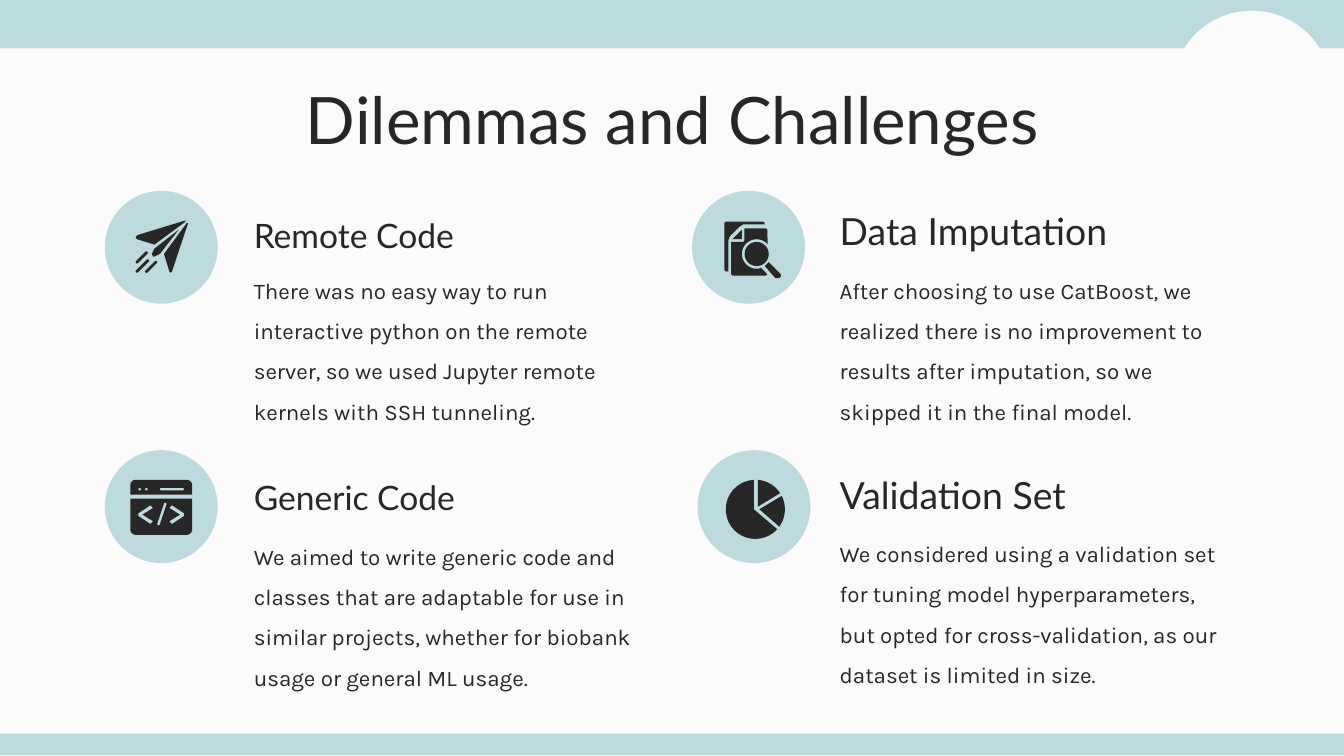
from math import atan2, cos, degrees, radians, sin

from pptx import Presentation
from pptx.dml.color import RGBColor
from pptx.enum.shapes import MSO_SHAPE
from pptx.enum.text import MSO_ANCHOR, PP_ALIGN
from pptx.util import Inches, Pt

PALE_BLUE = RGBColor(0xBD, 0xDA, 0xDE)
OFF_WHITE = RGBColor(0xFB, 0xFB, 0xFB)
INK = RGBColor(0x27, 0x27, 0x27)
HEADING_FONT, BODY_FONT = "Lato", "Karla"
BADGE = 0.84

# heading, heading top, heading size, body, body box, badge left, badge top
CHALLENGES = [
    ("Remote Code", 1.56, 18,
     "There was no easy way to run interactive python on the remote server, "
     "so we used Jupyter remote kernels with SSH tunneling.",
     (1.79, 1.86, 2.9, 1.35), 0.78, 1.42),
    ("Data Imputation", 1.54, 20,
     "After choosing to use CatBoost, we realized there is no improvement to "
     "results after imputation, so we skipped it in the final model.",
     (6.15, 1.86, 3.06, 1.12), 5.15, 1.42),
    ("Generic Code", 3.51, 18,
     "We aimed to write generic code and classes that are adaptable for use in "
     "similar projects, whether for biobank usage or general ML usage.",
     (1.79, 3.84, 3.07, 1.36), 0.78, 3.35),
    ("Validation Set", 3.51, 20,
     "We considered using a validation set for tuning model hyperparameters, "
     "but opted for cross-validation, as our dataset is limited in size.",
     (6.15, 3.82, 3.06, 1.12), 5.19, 3.35),
]


def paint(shape, color):
    shape.shadow.inherit = False
    shape.fill.solid()
    shape.fill.fore_color.rgb = color
    shape.line.fill.background()


def add_shape(slide, preset, left, top, width, height, color):
    paint(slide.shapes.add_shape(preset, Inches(left), Inches(top),
                                 Inches(width), Inches(height)), color)


def add_text(slide, text, left, top, width, height, font, size,
             anchor=MSO_ANCHOR.TOP, align=PP_ALIGN.LEFT, line_spacing=1.0):
    frame = slide.shapes.add_textbox(Inches(left), Inches(top),
                                     Inches(width), Inches(height)).text_frame
    frame.word_wrap = True
    frame.vertical_anchor = anchor
    frame.margin_left = frame.margin_right = Inches(0.1)
    frame.margin_top = frame.margin_bottom = Inches(0.1)
    paragraph = frame.paragraphs[0]
    paragraph.alignment = align
    paragraph.line_spacing = line_spacing
    run = paragraph.add_run()
    run.text = text
    run.font.name = font
    run.font.size = Pt(size)
    run.font.color.rgb = INK


def add_outline(slide, *contours):
    """Fill closed contours as one shape; inner contours become holes."""
    builder = None
    for contour in contours:
        start, *rest = [(Inches(x), Inches(y)) for x, y in contour]
        if builder is None:
            builder = slide.shapes.build_freeform(*start)
        else:
            builder.move_to(*start)
        builder.add_line_segments(rest, close=True)
    paint(builder.convert_to_shape(), INK)


def arc(x, y, radius, start, end, steps=24):
    """Points along an arc, in degrees clockwise from the right."""
    angles = [radians(start + (end - start) * i / steps) for i in range(steps + 1)]
    return [(x + radius * cos(a), y + radius * sin(a)) for a in angles]


def capsule(x1, y1, x2, y2, radius):
    """Contour of a straight stroke with round ends."""
    angle = degrees(atan2(y2 - y1, x2 - x1))
    return (arc(x2, y2, radius, angle - 90, angle + 90, 8)
            + arc(x1, y1, radius, angle + 90, angle + 270, 8))


def draw_paper_plane(slide):
    add_outline(slide, [(1.38, 1.64), (1.02, 1.75), (1.01, 1.77), (1.02, 1.78),
                        (1.15, 1.82), (1.38, 1.65)])
    add_outline(slide, [(1.33, 1.71), (1.15, 1.85), (1.13, 1.89), (1.14, 1.91),
                        (1.15, 1.91), (1.19, 1.89)])
    add_outline(slide, [(1.4, 1.66), (1.39, 1.66), (1.22, 1.89), (1.26, 2.02),
                        (1.27, 2.03), (1.28, 2.02)])
    for streak in [(1.02, 1.95, 1.09, 1.88), (1.09, 2.02, 1.16, 1.95),
                   (1.02, 2.02, 1.1, 1.94)]:
        add_outline(slide, capsule(*streak, 0.01))


def draw_document_search(slide):
    lens_x, lens_y = 5.63, 1.89
    add_outline(slide, [(5.4, 1.65), (5.39, 1.66), (5.39, 2.01), (5.4, 2.02),
                        (5.42, 2.02), (5.42, 1.79), (5.43, 1.76), (5.5, 1.69),
                        (5.53, 1.67), (5.69, 1.67), (5.69, 1.66), (5.68, 1.65)])
    add_outline(slide, [(5.52, 1.71), (5.45, 1.78), (5.52, 1.78)])
    add_outline(slide, arc(lens_x, lens_y, 0.09, 0, 360))
    add_outline(slide, [(5.54, 1.7), (5.54, 1.79), (5.53, 1.8), (5.44, 1.8),
                        (5.44, 2.04), (5.45, 2.05), (5.7, 2.05), (5.71, 2.04),
                        (5.66, 1.99), *arc(lens_x, lens_y, 0.11, 75, 318),
                        (5.71, 1.71), (5.7, 1.7)])
    add_outline(slide, [(5.72, 1.95), (5.69, 1.98), (5.77, 2.07),
                        *arc(5.79, 2.05, 0.02, 90, -45, 8)])


def draw_code_window(slide):
    left, right, corner = 0.97, 1.43, 0.04
    add_outline(slide,
                [*arc(left + corner, 3.61, corner, 180, 270, 8),
                 *arc(right - corner, 3.61, corner, 270, 360, 8),
                 (right, 3.68), (left, 3.68)],
                arc(1.04, 3.64, 0.01, 0, 360),
                arc(1.09, 3.64, 0.01, 0, 360),
                capsule(1.2, 3.64, 1.36, 3.64, 0.01))
    chevron = [(1.12, 3.76), (1.03, 3.82), (1.03, 3.84), (1.12, 3.9),
               (1.14, 3.88), (1.06, 3.83), (1.14, 3.78)]
    mirrored = [(left + right - x, y) for x, y in chevron]
    add_outline(slide,
                [(left, 3.71), (right, 3.71),
                 *arc(right - corner, 3.94, corner, 0, 90, 8),
                 *arc(left + corner, 3.94, corner, 90, 180, 8)],
                chevron, mirrored, capsule(1.18, 3.9, 1.23, 3.75, 0.01))


def draw_pie(slide):
    for apex, start, end in [((5.65, 3.79), -27, 36), ((5.64, 3.77), -85, -33),
                             ((5.61, 3.79), 42, 267)]:
        add_outline(slide, [apex, *arc(5.62, 3.79, 0.22, start, end)])


def add_challenge(slide, heading, heading_top, heading_size, body, body_box,
                  badge_left, badge_top):
    add_text(slide, body, *body_box, BODY_FONT, 12, line_spacing=1.5)
    add_text(slide, heading, body_box[0], heading_top, 3.06, 0.44, HEADING_FONT,
             heading_size, anchor=MSO_ANCHOR.BOTTOM)
    add_shape(slide, MSO_SHAPE.OVAL, badge_left, badge_top, BADGE, BADGE, PALE_BLUE)


def main():
    deck = Presentation()
    deck.slide_width = Inches(10)
    deck.slide_height = Inches(10 * 9 / 16)
    slide = deck.slides.add_slide(deck.slide_layouts[6])
    slide.background.fill.solid()
    slide.background.fill.fore_color.rgb = OFF_WHITE

    add_shape(slide, MSO_SHAPE.RECTANGLE, 0, 5.46, 10, 0.16, PALE_BLUE)
    add_shape(slide, MSO_SHAPE.RECTANGLE, 0, 0, 10, 0.36, PALE_BLUE)
    add_shape(slide, MSO_SHAPE.OVAL, 8.72, 0.08, 1.19, 1.19, OFF_WHITE)
    add_text(slide, "Dilemmas and Challenges", 0.79, 0.49, 8.43, 0.63,
             HEADING_FONT, 35, align=PP_ALIGN.CENTER)
    for challenge in CHALLENGES:
        add_challenge(slide, *challenge)
    for draw_icon in (draw_paper_plane, draw_document_search,
                      draw_code_window, draw_pie):
        draw_icon(slide)
    deck.save("out.pptx")


if __name__ == "__main__":
    main()
